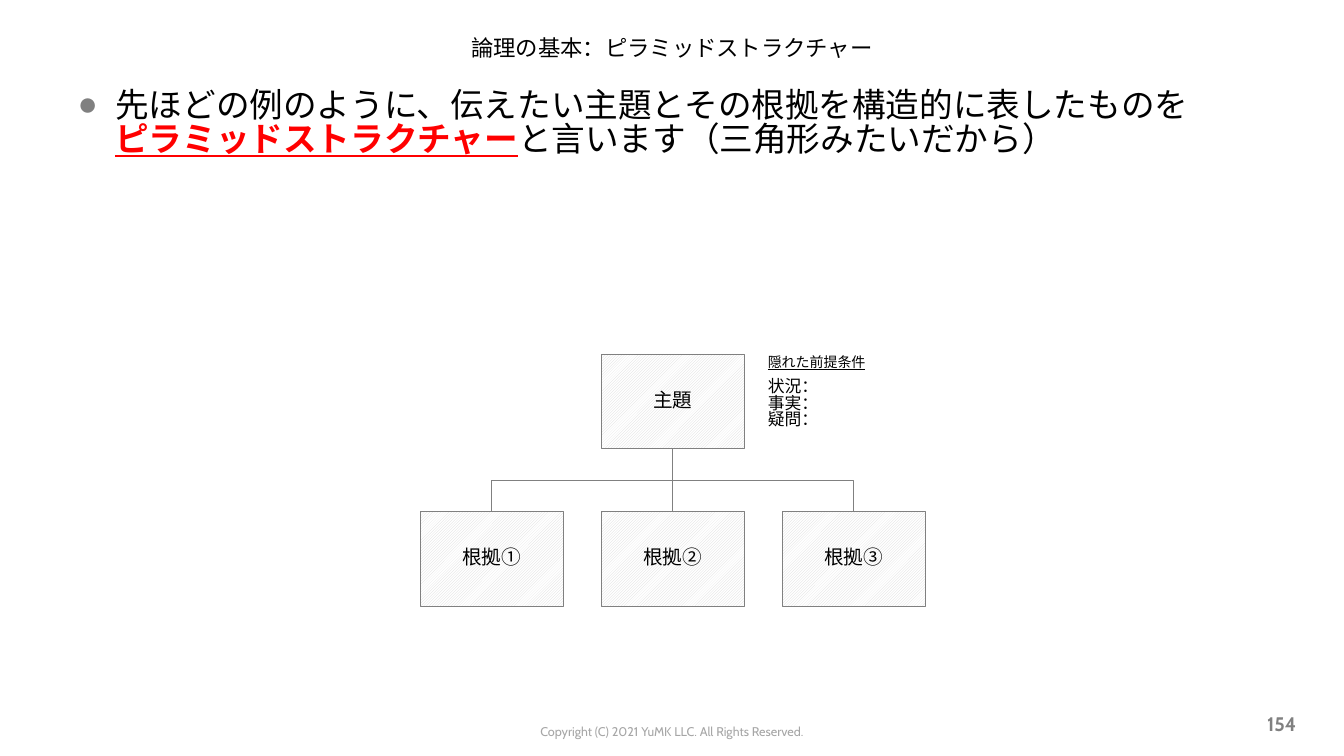
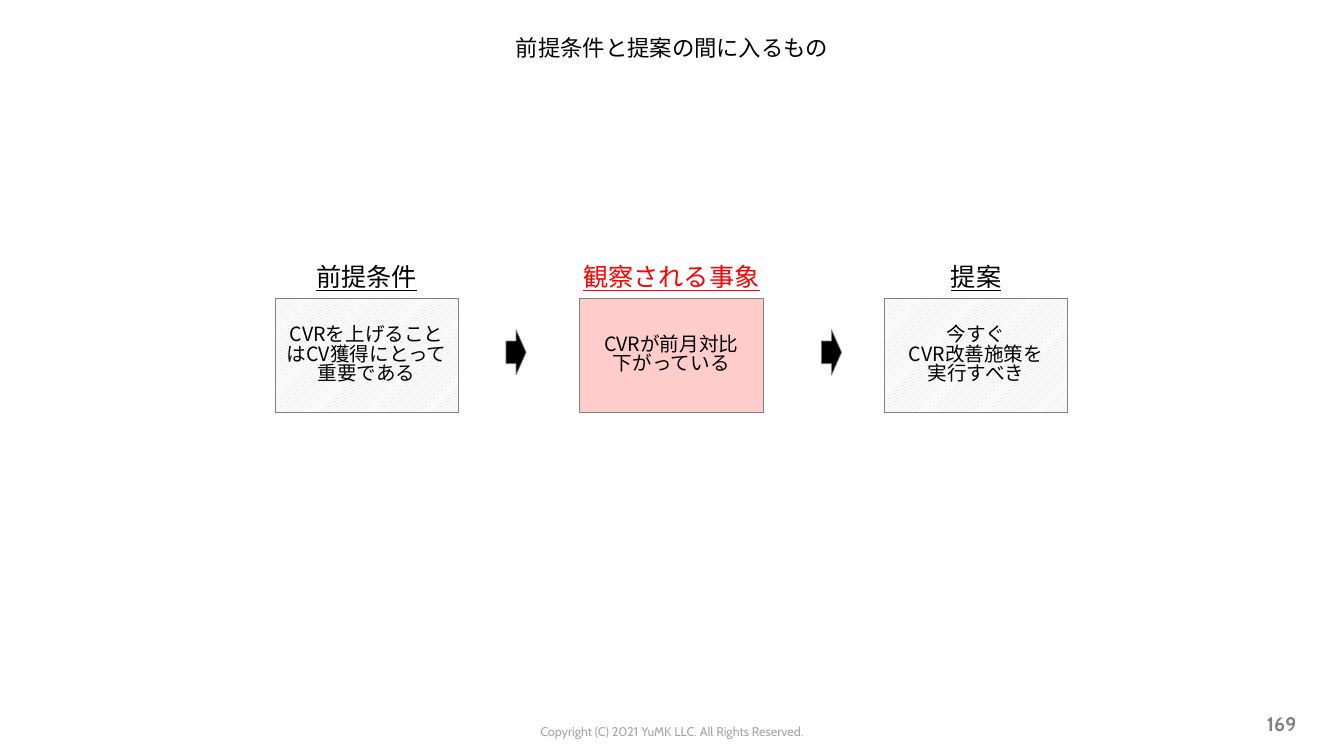
from lxml import etree
from pptx import Presentation
from pptx.dml.color import RGBColor
from pptx.enum import dml, shapes, text
from pptx.oxml.ns import qn
from pptx.util import Cm, Pt

# Shared style
BLACK = RGBColor(0x00, 0x00, 0x00)
WHITE = RGBColor(0xFF, 0xFF, 0xFF)
RED = RGBColor(0xFF, 0x00, 0x00)
PINK = RGBColor(0xFF, 0xCC, 0xCC)
GRAY = RGBColor(0x80, 0x80, 0x80)
HATCH = RGBColor(0xD9, 0xD9, 0xD9)
FOOTER_GRAY = RGBColor(0xA6, 0xA6, 0xA6)
BODY_FONT = "Noto Sans CJK JP"
FOOTER_FONT = "Cabin"
LINE_WIDTH = Pt(0.5)
TIGHT = 0.83
LEFT, CENTER, RIGHT = text.PP_ALIGN.LEFT, text.PP_ALIGN.CENTER, text.PP_ALIGN.RIGHT
TOP, MIDDLE = text.MSO_ANCHOR.TOP, text.MSO_ANCHOR.MIDDLE

TITLE_AREA = (1.7, 0.56, 30.48, 1.37)
BODY_AREA = (1.7, 2.16, 30.48, 14.71)
COPYRIGHT_AREA = (10.67, 18.11, 12.52, 0.64)
NUMBER_AREA = (25.02, 17.73, 7.9, 1.02)
TITLE_AND_CONTENT, TITLE_ONLY = 1, 5


def in_cm(area):
    return [Cm(round(length, 2)) for length in area]


def add_bullet(paragraph):
    props = paragraph._p.get_or_add_pPr()
    props.set("marL", str(Cm(0.95)))
    props.set("indent", str(-Cm(0.95)))
    color = etree.SubElement(props, qn("a:buClr"))
    etree.SubElement(color, qn("a:srgbClr"), val=str(GRAY))
    etree.SubElement(props, qn("a:buFont"), typeface="Arial")
    etree.SubElement(props, qn("a:buChar"), char="●")


def add_run(paragraph, words, size, color, font, bold, underline):
    run = paragraph.add_run()
    run.text = words
    run.font.size = Pt(size)
    run.font.color.rgb = color
    run.font.name = font
    run.font.bold = bold
    run.font.underline = underline
    etree.SubElement(run._r.get_or_add_rPr(), qn("a:ea"), typeface=font)


def write(frame, paragraphs, *, size=14, color=BLACK, font=BODY_FONT, bold=False,
          underline=False, align=CENTER, anchor=MIDDLE, spacing=TIGHT, bullet=False):
    """Each paragraph is a string or a list of (words, own format); "\\n" breaks a line."""
    frame.word_wrap = True
    frame.auto_size = text.MSO_AUTO_SIZE.NONE
    frame.vertical_anchor = anchor
    base = dict(size=size, color=color, font=font, bold=bold, underline=underline)
    for index, runs in enumerate(paragraphs):
        paragraph = frame.add_paragraph() if index else frame.paragraphs[0]
        if bullet:
            add_bullet(paragraph)
        paragraph.alignment = align
        paragraph.line_spacing = spacing
        paragraph.space_before = Pt(0)
        for words, own in [(runs, {})] if isinstance(runs, str) else runs:
            style = {**base, **own}
            for part, line in enumerate(words.split("\n")):
                if part:
                    line_break = paragraph._p.add_br()
                    etree.SubElement(line_break, qn("a:rPr"), sz=str(style["size"] * 100))
                add_run(paragraph, line, **style)


def add_text(slide, area, paragraphs, **style):
    frame = slide.shapes.add_textbox(*in_cm(area)).text_frame
    write(frame, paragraphs, **style)
    return frame


def fill_placeholder(placeholder, area, paragraphs, **style):
    placeholder.left, placeholder.top, placeholder.width, placeholder.height = in_cm(area)
    write(placeholder.text_frame, paragraphs, **style)


def add_block(slide, preset, area, fill=None):
    """Outlined shape, hatched unless a fill colour is given."""
    block = slide.shapes.add_shape(preset, *in_cm(area))
    block.shadow.inherit = False
    if fill is None:
        block.fill.patterned()
        block.fill.pattern = dml.MSO_PATTERN.LIGHT_UPWARD_DIAGONAL
        block.fill.fore_color.rgb = HATCH
        block.fill.back_color.rgb = WHITE
    else:
        block.fill.solid()
        block.fill.fore_color.rgb = fill
    block.line.color.rgb = GRAY
    block.line.width = LINE_WIDTH
    return block


def add_card(slide, area, paragraphs, fill=None):
    card = add_block(slide, shapes.MSO_SHAPE.RECTANGLE, area, fill)
    write(card.text_frame, paragraphs)
    return card


def join(slide, parent, child):
    """Line from the parent's bottom to the child's top, bent halfway if they are offset."""
    start_x = parent.left + parent.width // 2
    start_y = parent.top + parent.height
    end_x = child.left + child.width // 2
    across, down = end_x - start_x, child.top - start_y
    kind = shapes.MSO_CONNECTOR.ELBOW if across else shapes.MSO_CONNECTOR.STRAIGHT
    line = slide.shapes.add_connector(kind, start_x, start_y, end_x, child.top)
    line.begin_connect(parent, 2)
    line.end_connect(child, 0)
    line.line.color.rgb = GRAY
    line.line.width = LINE_WIDTH
    props = line._element.spPr
    etree.SubElement(props, qn("a:effectLst"))
    if across:
        # A quarter turn makes the elbow leave vertically
        line.left = (start_x + end_x - down) // 2
        line.top = start_y + (down - abs(across)) // 2
        line.width, line.height = down, abs(across)
        frame = props.find(qn("a:xfrm"))
        frame.set("rot", "16200000" if across > 0 else "5400000")
        frame.set("flipH", "1" if across > 0 else "0")


def new_slide(deck, layout, title, number):
    slide = deck.slides.add_slide(deck.slide_layouts[layout])
    fill_placeholder(slide.shapes.title, TITLE_AREA, [title], size=16)
    add_text(slide, COPYRIGHT_AREA, ["Copyright (C) 2021 YuMK LLC. All Rights Reserved."],
             size=9, color=FOOTER_GRAY, font=FOOTER_FONT, anchor=TOP, spacing=1.0)
    add_text(slide, NUMBER_AREA, [number], size=14, color=GRAY, font=FOOTER_FONT,
             bold=True, align=RIGHT, spacing=1.0)
    return slide


def add_pyramid(slide, area, topic, reasons):
    left, top, width, height = area
    card_width, card_height = 3.61, 2.39
    step = (width - card_width) / (len(reasons) - 1)
    topic_left = left + (width - card_width) / 2
    topic_card = add_card(slide, (topic_left, top, card_width, card_height), [topic])
    for index, reason in enumerate(reasons):
        reason_area = (left + index * step, top + height - card_height,
                       card_width, card_height)
        join(slide, topic_card, add_card(slide, reason_area, [reason]))


def add_premises(slide, area, heading, items):
    frame = add_text(slide, area, [[(heading, dict(size=10, underline=True))], *items],
                     size=12, align=LEFT, anchor=TOP)
    frame.paragraphs[1].space_before = Pt(6)


def add_flow(slide, area, stages):
    left, top, width, height = area
    card_width, overhang = 4.62, 0.3
    step = (width - card_width) / (len(stages) - 1)
    # Stages: heading above card
    for index, (heading, lines, color, fill) in enumerate(stages):
        card_left = left + index * step
        add_card(slide, (card_left, top, card_width, height), lines, fill)
        add_text(slide, (card_left - overhang, top - 0.92, card_width + 2 * overhang, 1.02),
                 [heading], size=18, color=color, underline=True, anchor=TOP)
    # Arrows between stages
    for index in range(len(stages) - 1):
        add_block(slide, shapes.MSO_SHAPE.RIGHT_ARROW,
                  (left + 5.82 + index * 7.95, top + 0.79, 0.51, 1.14), BLACK)


def pyramid_slide(deck):
    slide = new_slide(deck, TITLE_AND_CONTENT, "論理の基本：ピラミッドストラクチャー", "154")
    lead = [
        ("先ほどの例のように、伝えたい主題とその根拠を構造的に表したものを\n", {}),
        ("ピラミッドストラクチャー", dict(color=RED, bold=True, underline=True)),
        ("と言います（三角形みたいだから）", {}),
    ]
    fill_placeholder(slide.placeholders[1], BODY_AREA, [lead], size=24, align=LEFT,
                     anchor=TOP, bullet=True)
    add_pyramid(slide, (10.59, 8.92, 12.73, 6.35), "主題", ["根拠①", "根拠②", "根拠③"])
    add_premises(slide, (19.1, 8.86, 3.76, 2.44), "隠れた前提条件",
                 ["状況：", "事実：", "疑問："])


def flow_slide(deck):
    slide = new_slide(deck, TITLE_ONLY, "前提条件と提案の間に入るもの", "169")
    add_flow(slide, (6.93, 7.52, 19.98, 2.87), [
        ("前提条件", ["CVRを上げることはCV獲得にとって重要である"], BLACK, None),
        ("観察される事象", ["CVRが前月対比", "下がっている"], RED, PINK),
        ("提案", ["今すぐ", "CVR改善施策を", "実行すべき"], BLACK, None),
    ])


def main():
    deck = Presentation()
    deck.slide_width, deck.slide_height = Cm(33.87), Cm(19.05)
    pyramid_slide(deck)
    flow_slide(deck)
    deck.save("out.pptx")


if __name__ == "__main__":
    main()
